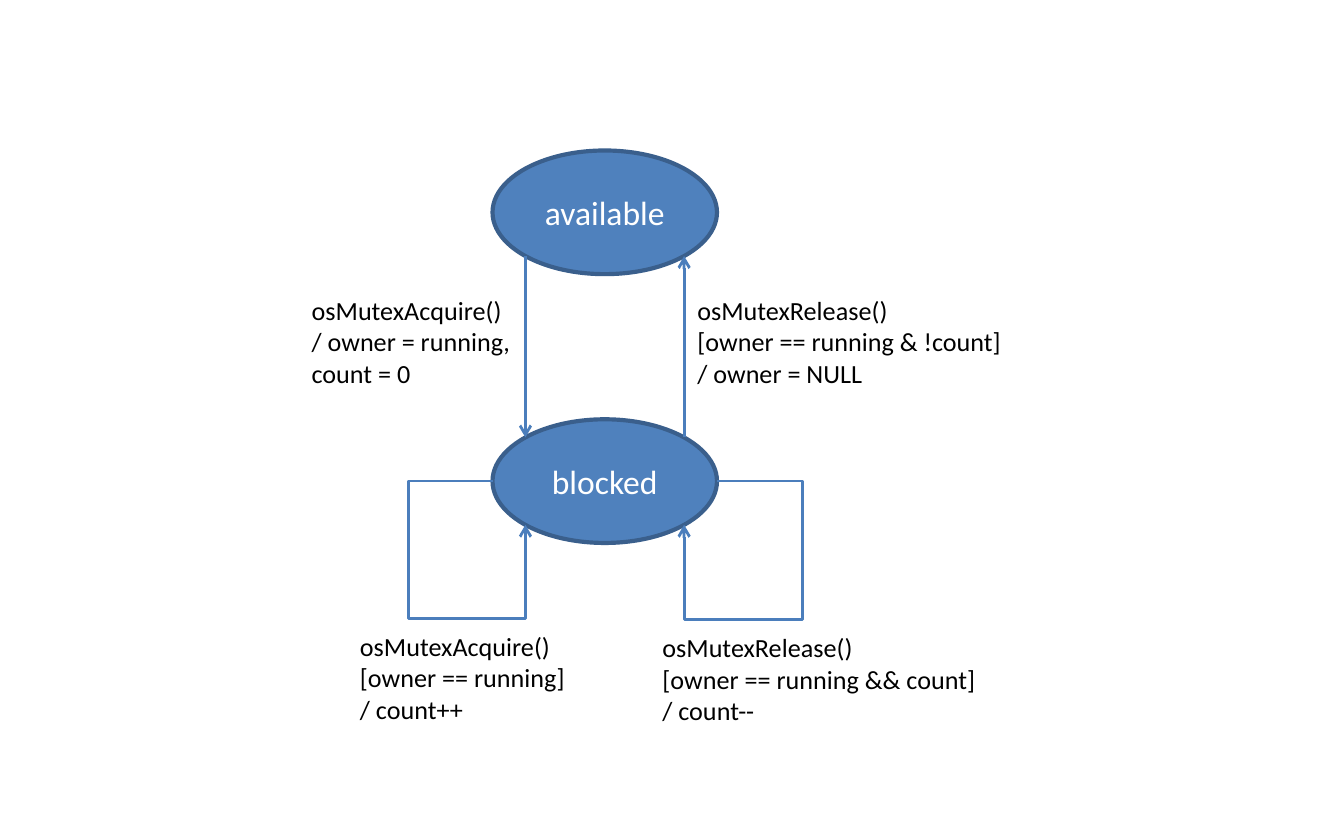
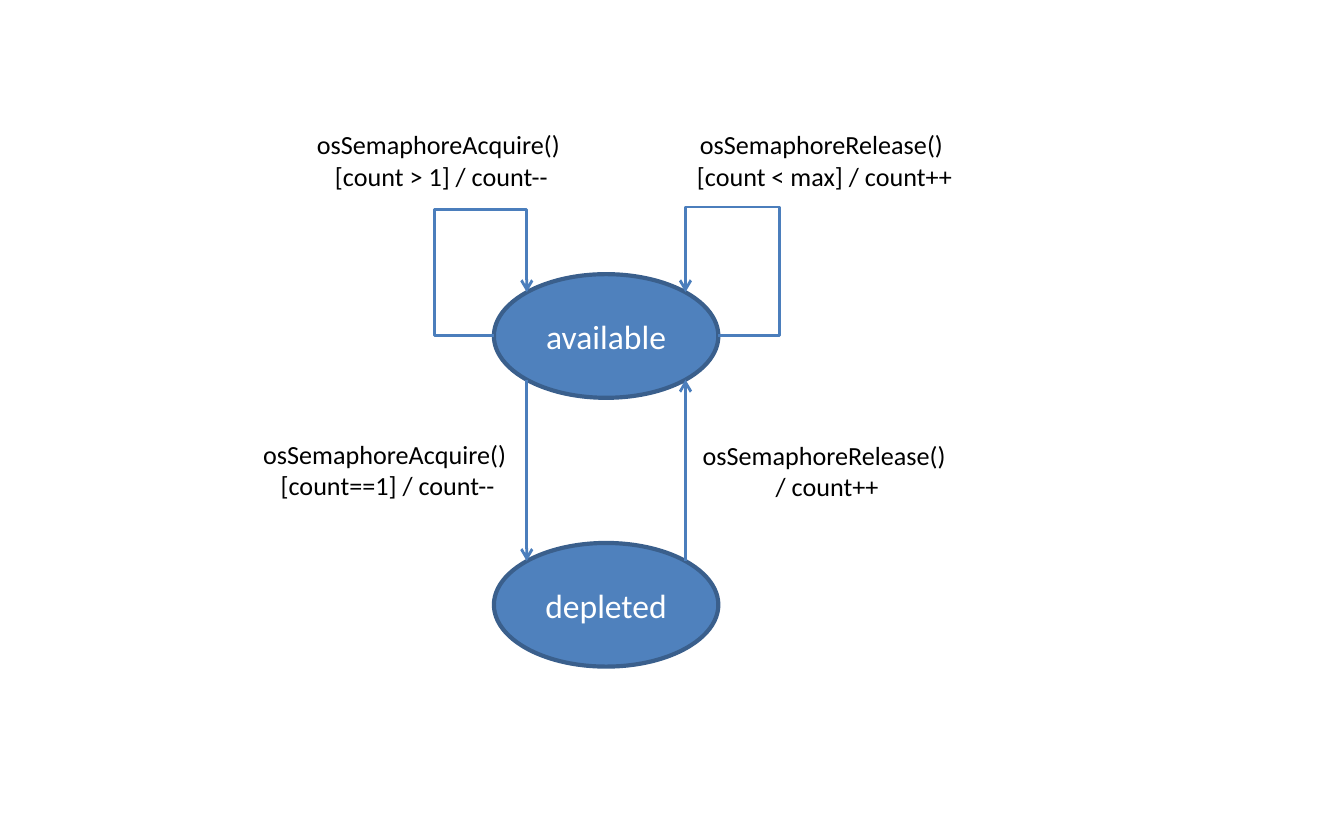
import math
from dataclasses import dataclass

import pptx
import pptx.util
import pptx.dml.color
import pptx.enum.shapes
import pptx.enum.text
from lxml import etree
from pptx.oxml.ns import qn

Inches = pptx.util.Inches
RGB = pptx.dml.color.RGBColor.from_string
ALIGN = pptx.enum.text.PP_ALIGN
CONNECTOR = pptx.enum.shapes.MSO_CONNECTOR


@dataclass(frozen=True)
class Theme:
    font: str = "Calibri"
    fill: str = "4F81BD"
    outline: str = "3A5F8C"
    arrow: str = "4B7EBC"
    state_text: str = "FFFFFF"
    label_text: str = "000000"
    state_size: int = 18
    label_size: int = 14
    outline_width: float = 2.25
    arrow_width: float = 1.5


THEME = Theme()

# State ellipses: size, distance between centres, offset of the diagonal points
STATE_W, STATE_H = 1.67, 0.92
STATE_GAP = 2
DIAG_X, DIAG_Y = (size / 2 * math.sqrt(0.5) for size in (STATE_W, STATE_H))
LEFT, RIGHT = -1, 1
UP, DOWN = -1, 1


def write(tf, lines, size, color, align):
    """Fill a text frame with one paragraph per line."""
    for i, line in enumerate(lines):
        p = tf.paragraphs[0] if i == 0 else tf.add_paragraph()
        p.alignment = align
        r = p.add_run()
        r.text = line
        for name, value in {"name": THEME.font, "size": pptx.util.Pt(size)}.items():
            setattr(r.font, name, value)
        r.font.color.rgb = RGB(color)


def add_state(s, cx, cy, name):
    sp = s.shapes.add_shape(
        pptx.enum.shapes.MSO_SHAPE.OVAL,
        Inches(cx - STATE_W / 2), Inches(cy - STATE_H / 2),
        Inches(STATE_W), Inches(STATE_H))
    sp.shadow.inherit = False
    sp.fill.solid()
    sp.fill.fore_color.rgb = RGB(THEME.fill)
    sp.line.color.rgb = RGB(THEME.outline)
    sp.line.width = pptx.util.Pt(THEME.outline_width)
    sp.text_frame.vertical_anchor = pptx.enum.text.MSO_ANCHOR.MIDDLE
    write(sp.text_frame, [name], THEME.state_size, THEME.state_text, ALIGN.CENTER)


def add_label(s, box, lines, align=ALIGN.LEFT, wrap=False):
    tf = s.shapes.add_textbox(*map(Inches, box)).text_frame
    tf.word_wrap = wrap
    tf.auto_size = pptx.enum.text.MSO_AUTO_SIZE.SHAPE_TO_FIT_TEXT
    write(tf, lines, THEME.label_size, THEME.label_text, align)


def add_arrow(s, start, end, kind=CONNECTOR.STRAIGHT):
    cn = s.shapes.add_connector(kind, *map(Inches, (*start, *end)))
    cn.line.color.rgb = RGB(THEME.arrow)
    cn.line.width = pptx.util.Pt(THEME.arrow_width)
    etree.SubElement(cn.line._get_or_add_ln(), qn("a:tailEnd"), type="arrow")
    etree.SubElement(cn._element.spPr, qn("a:effectLst"))
    return cn


def add_loop(s, cx, cy, side, direction, corner):
    """Self-transition: out at the side, round the corner, in at the diagonal."""
    start = cx + side * STATE_W / 2, cy
    end = cx + side * DIAG_X, cy + direction * DIAG_Y
    cn = add_arrow(s, start, end, CONNECTOR.ELBOW)
    geom = cn._element.spPr.find(qn("a:prstGeom"))
    geom.set("prst", "bentConnector4")
    guides = geom.find(qn("a:avLst"))
    for i, (a, b, c) in enumerate(zip(start, end, corner), 1):
        ratio = round((c - a) / (b - a) * 100000)
        etree.SubElement(guides, qn("a:gd"), name=f"adj{i}", fmla=f"val {ratio}")


def add_machine(s, cx, top, names):
    """Two states with a transition each way."""
    bottom = top + STATE_GAP
    for cy, name in zip((top, bottom), names):
        add_state(s, cx, cy, name)
    upper, lower = top + DIAG_Y, bottom - DIAG_Y
    add_arrow(s, (cx - DIAG_X, upper), (cx - DIAG_X, lower))
    add_arrow(s, (cx + DIAG_X, lower), (cx + DIAG_X, upper))


def mutex_slide(s):
    cx, top = 4.5, 1.58
    add_machine(s, cx, top, ("available", "blocked"))
    blocked = top + STATE_GAP
    add_loop(s, cx, blocked, LEFT, DOWN, (3.04, 4.6))
    add_loop(s, cx, blocked, RIGHT, DOWN, (5.97, 4.61))

    # Transition labels
    acquire, release = "osMutexAcquire() ", "osMutexRelease() "
    add_label(s, (2.22, 2.14, 1.69, 0.81),
              [acquire, "/ owner = running,", "count = 0"])
    add_label(s, (5.09, 2.14, 3.12, 0.81),
              [release, "[owner == running & !count]", "/ owner = NULL"], wrap=True)
    add_label(s, (2.58, 4.64, 1.74, 0.81),
              [acquire, "[owner == running]", "/ count++"])
    add_label(s, (4.83, 4.65, 2.55, 0.81),
              [release, "[owner == running && count]", "/ count--"])


def semaphore_slide(s):
    cx, top = 4.51, 2.5
    add_machine(s, cx, top, ("available", "depleted"))
    add_loop(s, cx, top, LEFT, UP, (3.23, 1.56))
    add_loop(s, cx, top, RIGHT, UP, (5.8, 1.54))

    # Transition labels
    acquire, release = "osSemaphoreAcquire() ", "osSemaphoreRelease() "
    for box, lines in (
        ((2.25, 0.91, 2.07, 0.57), [acquire, "[count > 1] / count--"]),
        ((1.85, 3.21, 2.07, 0.57), [acquire, "[count==1] / count--"]),
        ((5.12, 3.22, 2.07, 0.57), [release, "/ count++"]),
        ((5.08, 0.91, 2.11, 0.57), [release, "[count < max] / count++"]),
    ):
        add_label(s, box, lines, ALIGN.CENTER)


def main():
    prs = pptx.Presentation()
    prs.slide_width, prs.slide_height = Inches(10), Inches(6.25)
    blank = prs.slide_layouts[6]
    for build in (mutex_slide, semaphore_slide):
        build(prs.slides.add_slide(blank))
    prs.save("out.pptx")


main()
